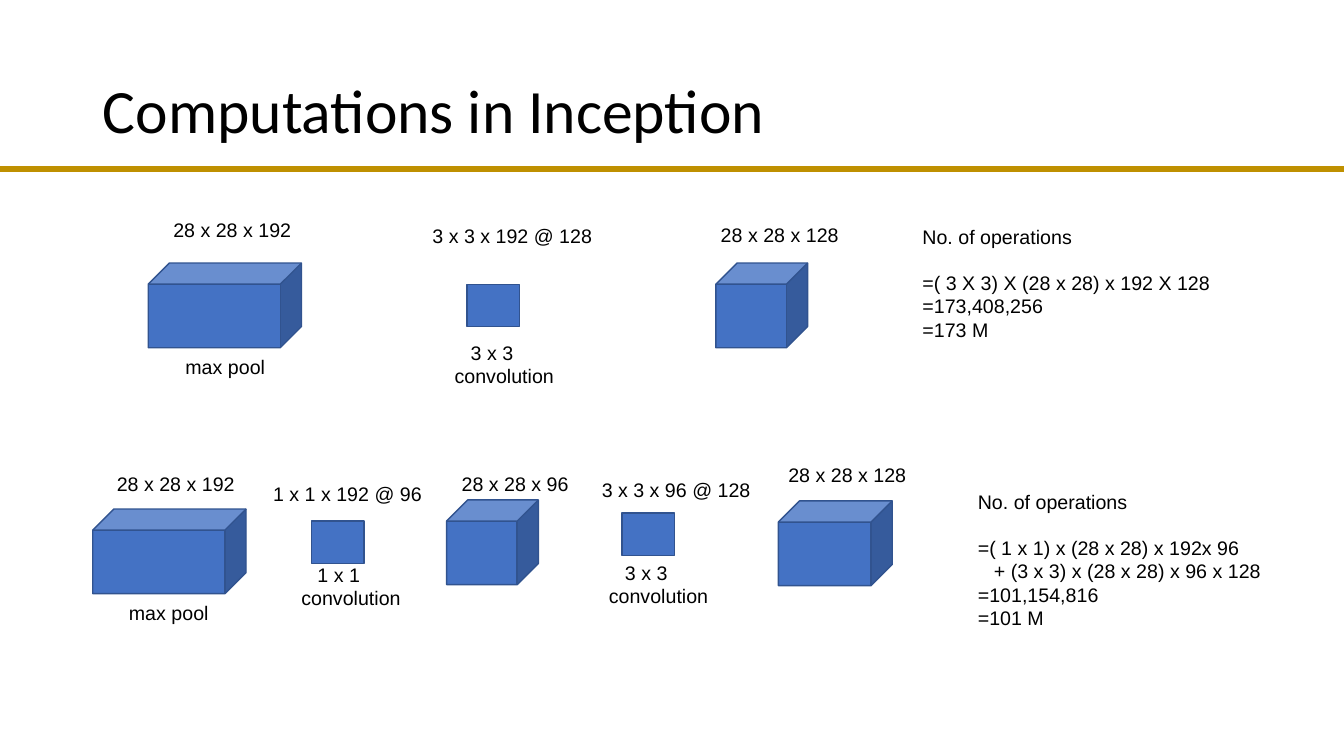
import dataclasses

import lxml.etree
import pptx
import pptx.dml.color
import pptx.enum.shapes
import pptx.enum.text
import pptx.oxml.ns
import pptx.util

EMU_PER_PX = 9144  # 100 px to the inch
SHAPES = pptx.enum.shapes.MSO_SHAPE


@dataclasses.dataclass(frozen=True)
class Theme:
    ink: str = "000000"
    rule: str = "BF9000"
    block_fill: str = "4472C4"
    block_line: str = "31538F"
    title_font: str = "Calibri"
    body_font: str = "Arial"
    title_size: int = 44
    body_size: int = 14
    rule_width: float = 4.5
    block_line_width: float = 1


def px(length):
    return pptx.util.Emu(length * EMU_PER_PX)


def rgb(code):
    return pptx.dml.color.RGBColor.from_string(code)


def write_text(frame, lines, *, font, size, color, margins=(10, 10),
               anchor=pptx.enum.text.MSO_ANCHOR.TOP, line_spacing=None,
               heading_gap=0, indented=None):
    """Write one paragraph per line; heading_gap (pt) follows the first."""
    frame.word_wrap = True
    frame.auto_size = pptx.enum.text.MSO_AUTO_SIZE.NONE
    frame.vertical_anchor = anchor
    frame.margin_left = frame.margin_right = px(margins[0])
    frame.margin_top = frame.margin_bottom = px(margins[1])
    for index, line in enumerate(lines):
        paragraph = frame.paragraphs[0] if index == 0 else frame.add_paragraph()
        paragraph.alignment = pptx.enum.text.PP_ALIGN.LEFT
        paragraph.line_spacing = line_spacing
        if index == 0 and heading_gap:
            paragraph.space_after = pptx.util.Pt(heading_gap)
        if index == indented:
            paragraph._p.get_or_add_pPr().set("marL", str(px(16)))
        run = paragraph.add_run()
        run.text = line
        run.font.name = font
        run.font.size = pptx.util.Pt(size)
        run.font.color.rgb = rgb(color)


class SlideBuilder:
    def __init__(self, slide, theme):
        self.slide = slide
        self.theme = theme

    def title(self, text, left, top, width, height):
        title = self.slide.shapes.title
        title.left, title.top = px(left), px(top)
        title.width, title.height = px(width), px(height)
        write_text(title.text_frame, [text], font=self.theme.title_font,
                   size=self.theme.title_size, color=self.theme.ink,
                   margins=(10, 5), line_spacing=0.9,
                   anchor=pptx.enum.text.MSO_ANCHOR.MIDDLE)

    def rule(self, top, width):
        rule = self.slide.shapes.add_connector(
            pptx.enum.shapes.MSO_CONNECTOR.STRAIGHT, 0, px(top), px(width), px(top))
        rule.line.color.rgb = rgb(self.theme.rule)
        rule.line.width = pptx.util.Pt(self.theme.rule_width)
        lxml.etree.SubElement(rule._element.spPr, pptx.oxml.ns.qn("a:effectLst"))

    def block(self, kind, left, top, width, height):
        block = self.slide.shapes.add_shape(
            kind, px(left), px(top), px(width), px(height))
        block.shadow.inherit = False
        block.fill.solid()
        block.fill.fore_color.rgb = rgb(self.theme.block_fill)
        block.line.color.rgb = rgb(self.theme.block_line)
        block.line.width = pptx.util.Pt(self.theme.block_line_width)

    def volume(self, left, top, width):
        self.block(SHAPES.CUBE, left, top, width, 84)

    def kernel(self, left, top):
        self.block(SHAPES.RECTANGLE, left, top, 52, 42)

    def text(self, lines, left, top, width, height, **text_format):
        box = self.slide.shapes.add_textbox(px(left), px(top), px(width), px(height))
        write_text(box.text_frame, lines, font=self.theme.body_font,
                   size=self.theme.body_size, color=self.theme.ink, **text_format)

    def label(self, text, left, top, width=162):
        self.text([text], left, top, width, 42)

    def convolution(self, size, left, top):
        self.text([size, "convolution"], left, top, 152, 55, indented=0)

    def operations(self, lines, left, top, width, indented=None):
        self.text(["No. of operations", *lines], left, top, width, 145,
                  heading_gap=16, indented=indented)


def main():
    presentation = pptx.Presentation()
    presentation.slide_width, presentation.slide_height = px(1333), px(750)
    slide = presentation.slides.add_slide(presentation.slide_layouts[5])
    builder = SlideBuilder(slide, Theme())

    builder.title("Computations in Inception", 92, 40, 1150, 145)
    builder.rule(168, 1333)

    volumes = [
        (147, 261, 152), (710, 261, 91),
        (92, 505, 152), (443, 496, 91), (772, 497, 113),
    ]
    for volume in volumes:
        builder.volume(*volume)

    for kernel in [(463, 282), (309, 517), (617, 509)]:
        builder.kernel(*kernel)

    labels = [
        ("28 x 28 x 192", 162, 206),
        ("3 x 3 x 192 @ 128", 419, 212, 198),
        ("28 x 28 x 128", 705, 211),
        ("max pool", 174, 342),
        ("28 x 28 x 192", 106, 458),
        ("1 x 1 x 192 @ 96", 261, 468, 168),
        ("28 x 28 x 96", 448, 458),
        ("3 x 3 x 96 @ 128", 587, 464, 168),
        ("28 x 28 x 128", 772, 449),
        ("max pool", 118, 586),
    ]
    for label in labels:
        builder.label(*label)

    for convolution in [("3 x 3", 441, 328), ("1 x 1", 289, 548), ("3 x 3", 594, 546)]:
        builder.convolution(*convolution)

    builder.operations(
        ["=( 3 X 3) X (28 x 28) x 192 X 128", "=173,408,256", "=173 M"],
        905, 213, 359)
    builder.operations(
        ["=( 1 x 1) x (28 x 28) x 192x 96", "+ (3 x 3) x (28 x 28) x 96 x 128",
         "=101,154,816", "=101 M"],
        960, 476, 327, indented=2)

    presentation.save("out.pptx")


if __name__ == "__main__":
    main()
